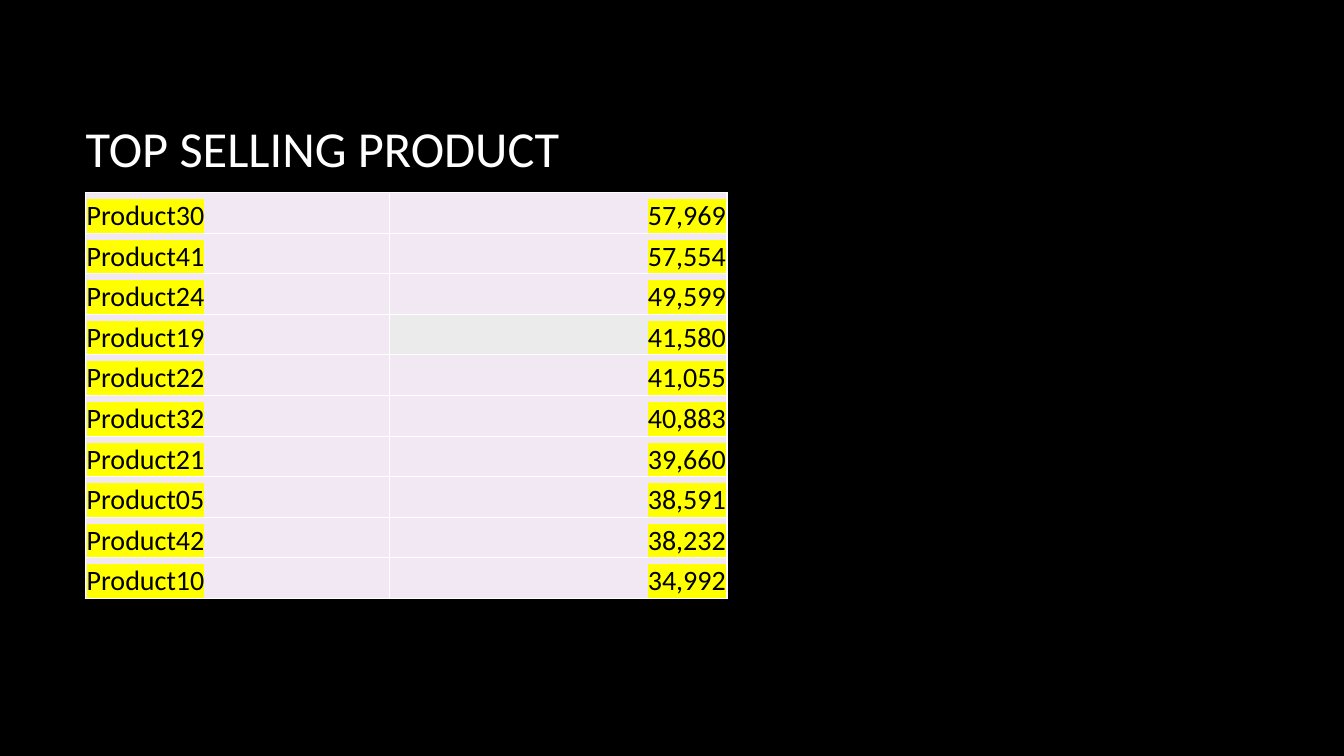
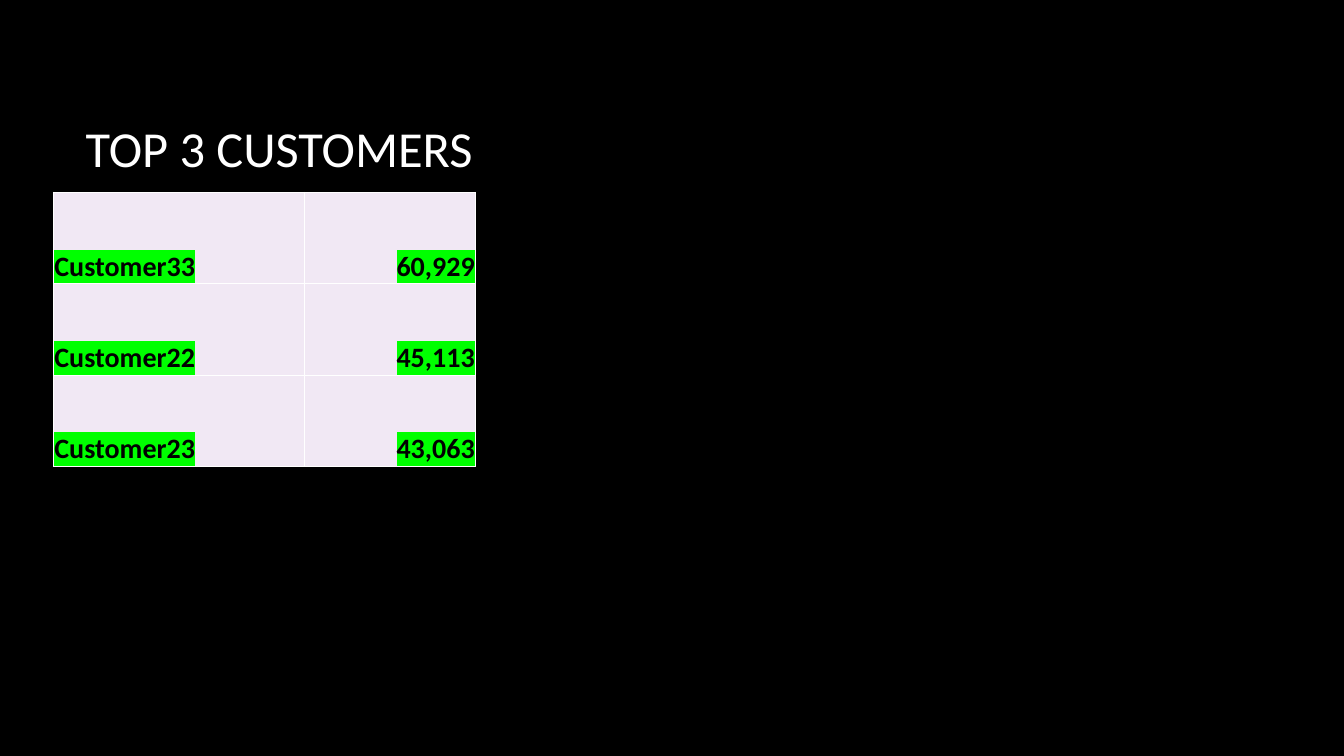
from lxml import etree
from pptx import Presentation
from pptx.dml.color import RGBColor
from pptx.enum.text import MSO_ANCHOR, PP_ALIGN
from pptx.oxml.ns import qn
from pptx.util import Inches, Pt

LEFT, RIGHT = PP_ALIGN.LEFT, PP_ALIGN.RIGHT
MIDDLE, BOTTOM = MSO_ANCHOR.MIDDLE, MSO_ANCHOR.BOTTOM

FONT = "Calibri"
COLORS = {
    "back": "000000",
    "title": "FFFFFF",
    "text": "000000",
    "rule": "FFFFFF",
    "cell": "F1E8F4",
    "grey": "EBEBEB",
    "yellow": "FFFF00",
    "green": "00FF00",
}
TABLE_TOP = 1.91

PRODUCTS = [
    ("Product30", "57,969"),
    ("Product41", "57,554"),
    ("Product24", "49,599"),
    ("Product19", "41,580"),
    ("Product22", "41,055"),
    ("Product32", "40,883"),
    ("Product21", "39,660"),
    ("Product05", "38,591"),
    ("Product42", "38,232"),
    ("Product10", "34,992"),
]
CUSTOMERS = [
    ("Customer33", "60,929"),
    ("Customer22", "45,113"),
    ("Customer23", "43,063"),
]


def rgb(key):
    return RGBColor.from_string(COLORS[key])


def add_color(parent, key):
    etree.SubElement(parent, qn("a:srgbClr"), val=COLORS[key])


# Shared look: black master and title position
def set_theme(deck):
    fill = deck.slide_master.background.fill
    fill.solid()
    fill.fore_color.rgb = rgb("back")
    layout = deck.slide_layouts.get_by_name("Title Only")
    title = layout.placeholders[0]
    title.left, title.top = Inches(0.75), Inches(0.67)
    title.width, title.height = Inches(11.08), Inches(1.59)
    title.text_frame.vertical_anchor = MIDDLE
    return layout


def add_slide(deck, layout, text):
    slide = deck.slides.add_slide(layout)
    para = slide.shapes.title.text_frame.paragraphs[0]
    para.text = text
    para.alignment = LEFT
    font = para.runs[0].font
    font.size, font.name = Pt(36), FONT
    font.color.rgb = rgb("title")
    return slide


# Table cells
def add_rules(cell):
    props = cell._tc.get_or_add_tcPr()
    for side in ("lnL", "lnR", "lnT", "lnB"):
        line = etree.SubElement(props, qn(f"a:{side}"), w=str(Pt(1)))
        add_color(etree.SubElement(line, qn("a:solidFill")), "rule")


def set_cell(cell, text, align, fill, mark, bold):
    add_rules(cell)
    cell.fill.solid()
    cell.fill.fore_color.rgb = rgb(fill)
    cell.vertical_anchor = BOTTOM
    cell.margin_left = cell.margin_right = cell.margin_top = Inches(0.01)
    cell.margin_bottom = 0
    para = cell.text_frame.paragraphs[0]
    para.text = text
    para.alignment = align
    run = para.runs[0]
    run.font.size, run.font.bold = Pt(20), bold
    run.font.color.rgb = rgb("text")
    # The highlight sits between the colour and the typeface
    props = run._r.get_or_add_rPr()
    add_color(etree.SubElement(props, qn("a:highlight")), mark)
    run.font.name = FONT


def add_ranking(slide, rows, left, widths, height, mark, bold=False, greys=()):
    frame = slide.shapes.add_table(
        len(rows), len(widths), Inches(left), Inches(TABLE_TOP),
        Inches(sum(widths)), Inches(height))
    table = frame.table
    table.first_row = table.horz_banding = False
    for col, width in zip(table.columns, widths):
        col.width = Inches(width)
    for r, row in enumerate(rows):
        for c, (text, align) in enumerate(zip(row, (LEFT, RIGHT))):
            fill = "grey" if (r, c) in greys else "cell"
            set_cell(table.cell(r, c), text, align, fill, mark, bold)


def main():
    deck = Presentation()
    deck.slide_width, deck.slide_height = Inches(13.33), Inches(7.5)
    layout = set_theme(deck)

    # Products
    slide = add_slide(deck, layout, "TOP SELLING PRODUCT")
    add_ranking(slide, PRODUCTS, 0.85, (3.01, 3.35), 4.03, "yellow",
                greys={(3, 1)})

    # Customers
    slide = add_slide(deck, layout, "TOP 3 CUSTOMERS")
    add_ranking(slide, CUSTOMERS, 0.53, (2.49, 1.7), 2.72, "green", bold=True)

    deck.save("out.pptx")


if __name__ == "__main__":
    main()
